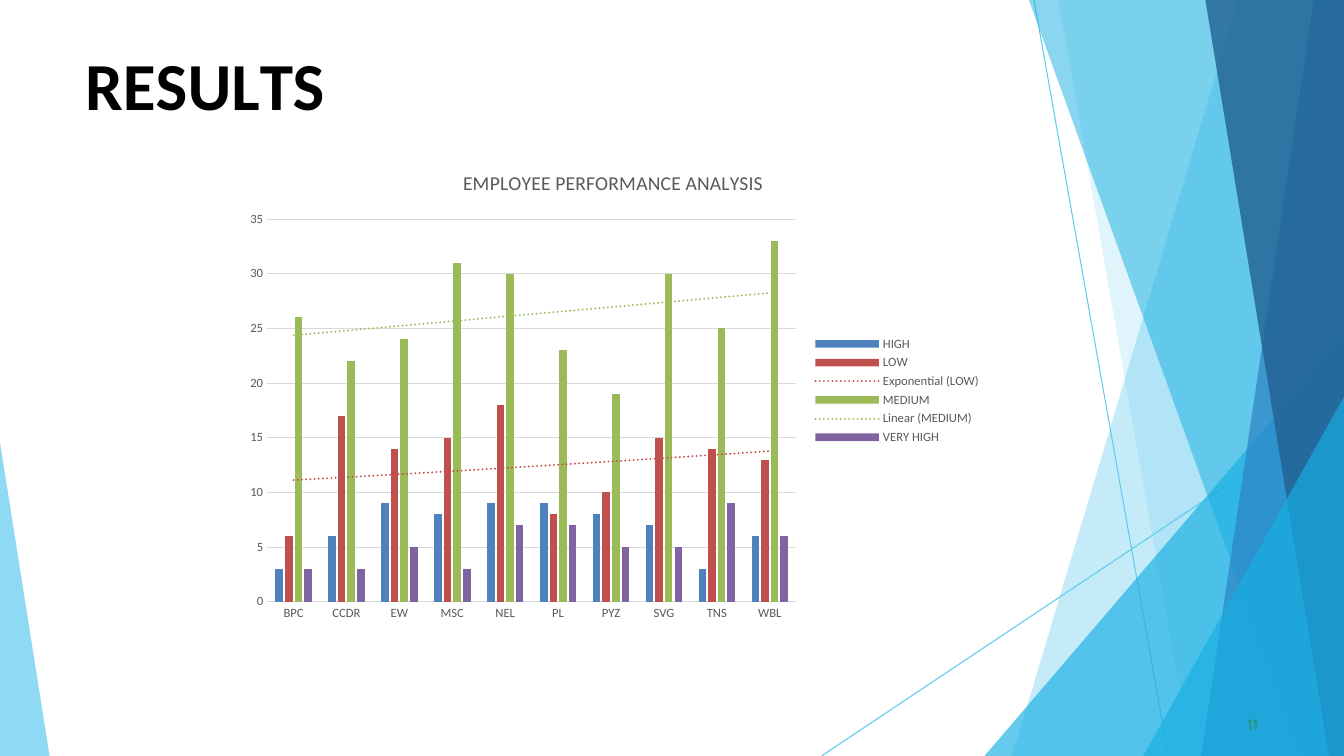
from dataclasses import dataclass

import lxml.etree
import pptx
import pptx.chart.data
import pptx.dml.color
import pptx.enum.chart
import pptx.enum.shapes
import pptx.enum.text
import pptx.oxml
import pptx.oxml.ns
import pptx.util

RGBColor = pptx.dml.color.RGBColor
BLACK = RGBColor(0x00, 0x00, 0x00)
GREY = RGBColor(0x59, 0x59, 0x59)
GRID_GREY = RGBColor(0xD9, 0xD9, 0xD9)
GREEN = RGBColor(0x2D, 0x93, 0x6B)
SKY = RGBColor(0x5F, 0xCA, 0xEE)
CYAN = RGBColor(0x17, 0xAF, 0xE3)
BLUE = RGBColor(0x2D, 0x83, 0xC3)
NAVY = RGBColor(0x22, 0x61, 0x92)
SERIES_BLUE = RGBColor(0x4F, 0x81, 0xBD)
SERIES_RED = RGBColor(0xC0, 0x50, 0x4D)
SERIES_GREEN = RGBColor(0x9B, 0xBB, 0x59)
SERIES_PURPLE = RGBColor(0x80, 0x64, 0xA2)

COLUMNS, ROWS = 160, 90
CELL = pptx.util.Inches(7.5) // ROWS
Point = tuple[float, float]


@dataclass(frozen=True)
class Facet:
    points: tuple[Point, ...]
    color: RGBColor
    opacity: int


@dataclass(frozen=True)
class Rating:
    name: str
    counts: tuple[int, ...]
    color: RGBColor
    trend: str = ""


TOP_RIGHT, BOTTOM_RIGHT = (COLUMNS, 0), (COLUMNS, ROWS)


def right_band(top: float, bottom: float, color: RGBColor, opacity: int) -> Facet:
    """Describe a facet from a slanted edge to the right side of the slide."""
    return Facet((TOP_RIGHT, (top, 0), (bottom, ROWS), BOTTOM_RIGHT), color, opacity)


def right_corner(height: float, bottom: float, opacity: int) -> Facet:
    """Describe a triangle in the bottom right corner."""
    return Facet(((COLUMNS, height), (bottom, ROWS), BOTTOM_RIGHT), CYAN, opacity)


THIN_LINES = (((123.1, 0), (139.1, ROWS)), ((COLUMNS, 48.5), (97.8, ROWS)))
FACETS = (
    right_band(147.4, 120.5, SKY, 36),
    right_band(126, 141.8, SKY, 20),
    right_corner(40, 117.2, 66),
    right_band(122.5, 154.9, CYAN, 50),
    right_band(156.4, 143, BLUE, 70),
    right_band(143.5, 158.2, NAVY, 80),
    right_corner(47.2, 136.1, 66),
    Facet(((0, 52.7), (0, ROWS), (5.9, ROWS)), SKY, 70),
)
TITLE_RUNS = (("R", 0), ("E", -0.4), ("S", 0.1), ("U", -0.3), ("L", -4), ("TS", 0))
UNITS = ("BPC", "CCDR", "EW", "MSC", "NEL", "PL", "PYZ", "SVG", "TNS", "WBL")
RATINGS = (
    Rating("HIGH", (3, 6, 9, 8, 9, 9, 8, 7, 3, 6), SERIES_BLUE),
    Rating("LOW", (6, 17, 14, 15, 18, 8, 10, 15, 14, 13), SERIES_RED, "exp"),
    Rating("MEDIUM", (26, 22, 24, 31, 30, 23, 19, 30, 25, 33), SERIES_GREEN, "linear"),
    Rating("VERY HIGH", (3, 3, 5, 3, 7, 7, 5, 5, 9, 6), SERIES_PURPLE),
)


def grid(cells: float) -> pptx.util.Emu:
    return pptx.util.Emu(round(cells * CELL))


def set_font(font, name: str, size: float, color: RGBColor, bold: bool = False) -> None:
    font.name, font.size, font.bold = name, pptx.util.Pt(size), bold
    font.color.rgb = color


def write_text(slide, runs, box, *, font: str, size: float, color: RGBColor,
               bold: bool = False, before: float = 0, indent: float = 0) -> None:
    """Add a text box of (text, letter spacing in points) runs."""
    shape = slide.shapes.add_textbox(*map(grid, box))
    frame = shape.text_frame
    frame.word_wrap = True
    frame.auto_size = pptx.enum.text.MSO_AUTO_SIZE.SHAPE_TO_FIT_TEXT
    frame.margin_left = frame.margin_right = frame.margin_bottom = 0
    frame.margin_top = pptx.util.Inches(0.01)
    paragraph = frame.paragraphs[0]
    paragraph.space_before = pptx.util.Pt(before)
    paragraph._p.get_or_add_pPr().set("marL", str(pptx.util.Inches(indent)))
    for text, spacing in runs:
        run = paragraph.add_run()
        run.text = text
        set_font(run.font, font, size, color, bold)
        run._r.get_or_add_rPr().set("spc", str(round(spacing * 100)))


def draw_thin_line(slide, start: Point, end: Point) -> None:
    connector = slide.shapes.add_connector(
        pptx.enum.shapes.MSO_CONNECTOR.STRAIGHT, *map(grid, start + end))
    connector.line.color.rgb = SKY
    connector.line.width = pptx.util.Pt(0.75)
    properties = connector._element.spPr
    lxml.etree.SubElement(properties, pptx.oxml.ns.qn("a:effectLst"))


def draw_facet(slide, facet: Facet) -> None:
    start, *others = [(grid(x), grid(y)) for x, y in facet.points]
    builder = slide.shapes.build_freeform(*start)
    builder.add_line_segments(others, close=True)
    shape = builder.convert_to_shape()
    shape.shadow.inherit = False
    shape.line.fill.background()
    shape.fill.solid()
    shape.fill.fore_color.rgb = facet.color
    color = shape._element.spPr.find(".//" + pptx.oxml.ns.qn("a:srgbClr"))
    alpha = lxml.etree.SubElement(color, pptx.oxml.ns.qn("a:alpha"))
    alpha.set("val", str(facet.opacity * 1000))


def add_trend(series, rating: Rating) -> None:
    trend = pptx.oxml.parse_xml(
        f'<c:trendline {pptx.oxml.ns.nsdecls("c", "a")}><c:spPr>'
        f'<a:ln w="{pptx.util.Pt(1.5)}" cap="rnd"><a:solidFill>'
        f'<a:srgbClr val="{rating.color}"/></a:solidFill>'
        '<a:prstDash val="sysDot"/></a:ln></c:spPr>'
        f'<c:trendlineType val="{rating.trend}"/>'
        '<c:dispRSqr val="0"/><c:dispEq val="0"/></c:trendline>')
    series._element.find(pptx.oxml.ns.qn("c:cat")).addprevious(trend)


def draw_chart(slide, box) -> None:
    chart_data = pptx.chart.data.CategoryChartData()
    chart_data.categories = UNITS
    for rating in RATINGS:
        chart_data.add_series(rating.name, rating.counts)
    chart = slide.shapes.add_chart(
        pptx.enum.chart.XL_CHART_TYPE.COLUMN_CLUSTERED, *map(grid, box), chart_data).chart
    set_font(chart.font, "Calibri", 10, BLACK)

    chart.has_title = True
    title = chart.chart_title.text_frame
    title.text = "EMPLOYEE PERFORMANCE ANALYSIS"
    set_font(title.paragraphs[0].runs[0].font, "Calibri", 14, GREY)
    chart.has_legend = True
    chart.legend.position = pptx.enum.chart.XL_LEGEND_POSITION.RIGHT
    chart.legend.include_in_layout = False
    set_font(chart.legend.font, "Calibri", 9, GREY)

    for axis in (chart.category_axis, chart.value_axis):
        axis.major_tick_mark = pptx.enum.chart.XL_TICK_MARK.NONE
        set_font(axis.tick_labels.font, "Calibri", 9, GREY)
    chart.value_axis.format.line.fill.background()
    chart.value_axis.has_major_gridlines = True
    for line in (chart.category_axis.format.line,
                 chart.value_axis.major_gridlines.format.line):
        line.color.rgb = GRID_GREY
        line.width = pptx.util.Pt(0.75)

    plot = chart.plots[0]
    plot.gap_width, plot.overlap, plot.vary_by_categories = 219, -27, False
    for series, rating in zip(plot.series, RATINGS):
        series.format.fill.solid()
        series.format.fill.fore_color.rgb = rating.color
        if rating.trend:
            add_trend(series, rating)


def main() -> None:
    presentation = pptx.Presentation()
    presentation.slide_width, presentation.slide_height = grid(COLUMNS), grid(ROWS)
    slide = presentation.slides.add_slide(presentation.slide_layouts[6])
    for start, end in THIN_LINES:
        draw_thin_line(slide, start, end)
    for facet in FACETS:
        draw_facet(slide, facet)
    write_text(slide, TITLE_RUNS, (10, 5, 32, 10), font="Calibri", size=48,
               color=BLACK, bold=True, before=1.1, indent=0.01)
    write_text(slide, [("11", 0.1)], (148, 85, 3, 2.5), font="Cabin", size=11,
               color=GREEN, before=0.6, indent=0.04)
    draw_chart(slide, (28, 18, 90, 57))
    presentation.save("out.pptx")


if __name__ == "__main__":
    main()
